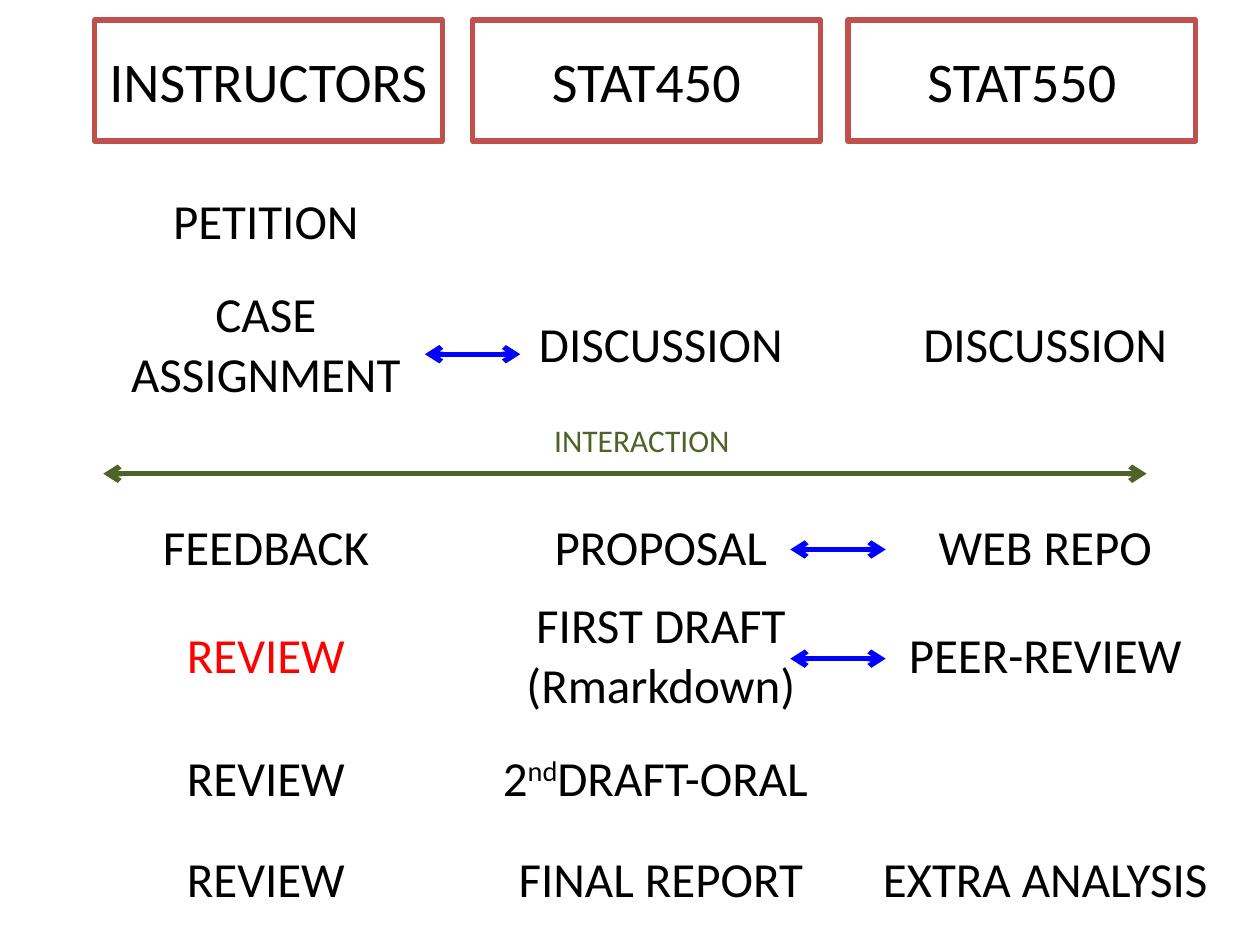
from lxml import etree
from pptx import Presentation
from pptx.dml.color import RGBColor
from pptx.enum.shapes import MSO_CONNECTOR as Connector, MSO_SHAPE as Shape
from pptx.enum.text import MSO_ANCHOR as Anchor, MSO_AUTO_SIZE as AutoSize, PP_ALIGN as Align
from pptx.oxml.ns import qn
from pptx.util import Pt

BLACK = RGBColor(0x00, 0x00, 0x00)
RED = RGBColor(0xFF, 0x00, 0x00)
BLUE = RGBColor(0x00, 0x00, 0xFF)
GREEN = RGBColor(0x4F, 0x62, 0x28)
BRICK = RGBColor(0xC0, 0x50, 0x4D)
FONT = "Calibri"

HEADERS = [("INSTRUCTORS", 54), ("STAT450", 270), ("STAT550", 484.6)]
COLUMN_WIDTHS = [217.4, 234, 205.2]
ROW_HEIGHTS = [64.8, 61.2, 98.6, 82.8, 57.6, 57.6]
# Each cell is a list of paragraphs; each paragraph is a list of runs
STAGES = [
    [[["PETITION"]], [], []],
    [[["CASE ASSIGNMENT"]], [["DISCUSSION"]], [["DISCUSSION"]]],
    [[["FEEDBACK"]], [["PROPOSAL"]], [["WEB REPO"]]],
    [[["REVIEW"]], [["FIRST DRAFT"], ["(Rmarkdown)"]], [["PEER-REVIEW"]]],
    [[["REVIEW"]], [["2", "nd", "DRAFT-ORAL "]], []],
    [[["REVIEW"]], [["FINAL REPORT"]], [["EXTRA ANALYSIS"]]],
]
FEEDBACK_ROW, FIRST_DRAFT_ROW = 2, 3
SUPERSCRIPT = "nd"


def add_run(paragraph, text, size, color=BLACK):
    run = paragraph.add_run()
    run.text = text
    run.font.name = FONT
    run.font.size = Pt(size)
    run.font.color.rgb = color
    if text == SUPERSCRIPT:
        run._r.get_or_add_rPr().set("baseline", "30000")


def add_header(slide, text, left):
    shape = slide.shapes.add_shape(Shape.RECTANGLE, Pt(left), Pt(11.5), Pt(198.7), Pt(69.1))
    shape.shadow.inherit = False
    shape.fill.background()
    shape.line.color.rgb = BRICK
    shape.line.width = Pt(3)
    shape.text_frame.vertical_anchor = Anchor.MIDDLE
    paragraph = shape.text_frame.paragraphs[0]
    paragraph.alignment = Align.CENTER
    add_run(paragraph, text, 32)


def fill_cell(cell, lines, anchor, color):
    cell.fill.background()
    cell.vertical_anchor = anchor
    for index, texts in enumerate(lines):
        frame = cell.text_frame
        paragraph = frame.add_paragraph() if index else frame.paragraphs[0]
        paragraph.alignment = Align.CENTER
        for text in texts:
            add_run(paragraph, text, 28, color)


def add_stage_table(slide):
    table = slide.shapes.add_table(
        len(ROW_HEIGHTS), len(COLUMN_WIDTHS), Pt(43.2), Pt(95),
        Pt(sum(COLUMN_WIDTHS)), Pt(sum(ROW_HEIGHTS))).table
    table.first_row = False
    table.horz_banding = False
    for column, width in zip(table.columns, COLUMN_WIDTHS):
        column.width = Pt(width)
    for row, height in zip(table.rows, ROW_HEIGHTS):
        row.height = Pt(height)
    for row_index, stage in enumerate(STAGES):
        anchor = Anchor.BOTTOM if row_index == FEEDBACK_ROW else Anchor.MIDDLE
        for column_index, lines in enumerate(stage):
            color = RED if (row_index, column_index) == (FIRST_DRAFT_ROW, 0) else BLACK
            fill_cell(table.cell(row_index, column_index), lines, anchor, color)


def add_double_arrow(slide, left, right, top, color):
    connector = slide.shapes.add_connector(
        Connector.STRAIGHT, Pt(left), Pt(top), Pt(right), Pt(top))
    connector.line.color.rgb = color
    connector.line.width = Pt(3)
    line = connector.line._get_or_add_ln()
    for end in ("a:headEnd", "a:tailEnd"):
        etree.SubElement(line, qn(end), type="arrow")
    etree.SubElement(connector._element.spPr, qn("a:effectLst"))


def add_label(slide, text, left, top, width, height):
    box = slide.shapes.add_textbox(Pt(left), Pt(top), Pt(width), Pt(height))
    frame = box.text_frame
    frame.word_wrap = True
    frame.auto_size = AutoSize.SHAPE_TO_FIT_TEXT
    add_run(frame.paragraphs[0], text, 18, GREEN)


def main():
    presentation = Presentation()
    presentation.slide_width, presentation.slide_height = Pt(720), Pt(540)
    slide = presentation.slides.add_slide(presentation.slide_layouts[6])

    # Column headers and course stages
    for text, left in HEADERS:
        add_header(slide, text, left)
    add_stage_table(slide)

    # Links between neighbouring columns
    for left, top in [(242.8, 202.4), (451.6, 314), (451.6, 376.4)]:
        add_double_arrow(slide, left, left + 54.5, top, BLUE)

    # Interaction across all columns
    add_double_arrow(slide, 59, 655.2, 270.7, GREEN)
    add_label(slide, "INTERACTION", 309.6, 236.9, 128.9, 28.8)

    presentation.save("out.pptx")


if __name__ == "__main__":
    main()
